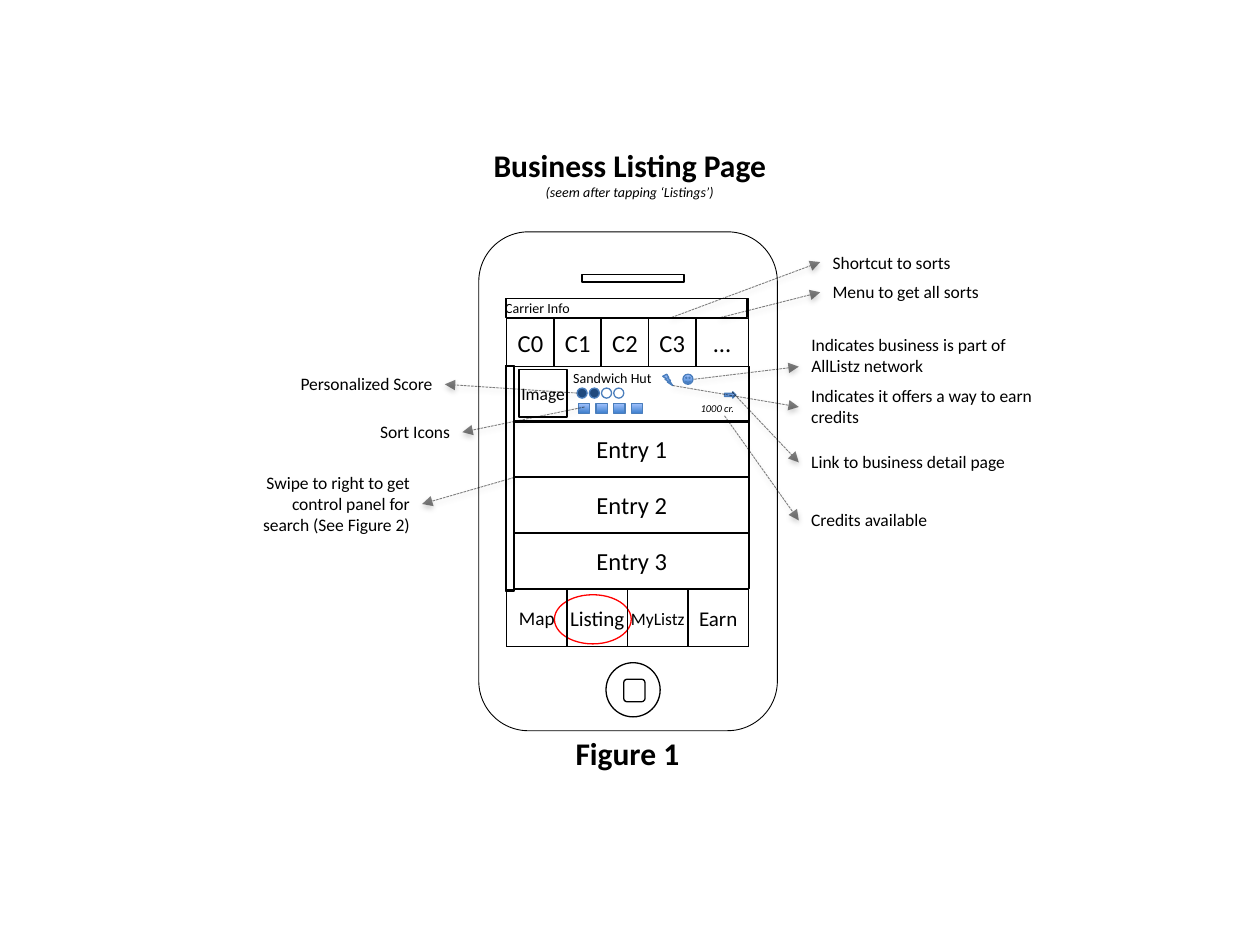
from lxml import etree
from pptx import Presentation
from pptx.dml.color import RGBColor
from pptx.enum.dml import MSO_LINE
from pptx.enum.shapes import MSO_CONNECTOR, MSO_SHAPE as SHAPE
from pptx.enum.text import MSO_ANCHOR as ANCHOR, PP_ALIGN as ALIGN
from pptx.oxml import parse_xml
from pptx.oxml.ns import qn
from pptx.util import Inches, Pt

COLORS = {"ink": "000000", "ring": "FF0000", "edge": "4B7EBC", "full": "1F497D",
          "empty": "FFFFFF", "dark": "3F80CE", "light": "A4C4FF"}
FONT = "Calibri"

TITLE = [("Business Listing Page", {"size": Pt(18), "bold": True, "italic": False}),
         ("(seem after tapping ‘Listings’)", {"size": Pt(8), "bold": False, "italic": True})]
SORTS = ["C0", "C1", "C2", "C3"]
TABS = [("Map", 11), ("Listing", 12), ("MyListz", 10), ("Earn", 12)]
ENTRIES = ["Entry 1", "Entry 2", "Entry 3"]
SCORE = ["full", "full", "empty", "empty"]
SORT_ICON_COUNT = 4

# kind, left, top, width, height, line colour, line width
OUTLINES = [
    (SHAPE.RECTANGLE, 4.02, 2.37, 1.92, 2.76, "ink", 0.75),
    (SHAPE.RECTANGLE, 4.08, 2.91, 1.87, 0.44, "ink", 0.75),
    (SHAPE.RECTANGLE, 4.01, 2.90, 0.07, 1.79, "ink", 0.75),
    (SHAPE.ROUNDED_RECTANGLE, 3.80, 1.84, 2.37, 3.96, "ink", 0.5),
    (SHAPE.OVAL, 4.81, 5.26, 0.43, 0.43, "ink", 0.75),
    (SHAPE.ROUNDED_RECTANGLE, 4.95, 5.39, 0.17, 0.18, "ink", 0.75),
    (SHAPE.RECTANGLE, 4.62, 2.18, 0.81, 0.06, "ink", 0.75),
    (SHAPE.OVAL, 4.40, 4.72, 0.61, 0.39, "ring", 0.75),
]
ICONS = [(SHAPE.LIGHTNING_BOLT, 5.26, 2.97, 0.08, 0.09),
         (SHAPE.RIGHT_ARROW, 5.75, 3.11, 0.09, 0.05),
         (SHAPE.SMILEY_FACE, 5.42, 2.97, 0.08, 0.08)]

# text, box, alignment, arrow start, arrow end
CALLOUTS = [
    ("Shortcut to sorts", (6.51, 1.95, 1.96, 0.27), ALIGN.LEFT, (5.33, 2.52), (6.51, 2.08)),
    ("Menu to get all sorts", (6.51, 2.18, 1.96, 0.27), ALIGN.LEFT, (5.72, 2.52), (6.51, 2.32)),
    ("Indicates business is part of AllListz network", (6.34, 2.6, 1.82, 0.61), ALIGN.LEFT,
     (5.51, 3.01), (6.34, 2.91)),
    ("Indicates it offers a way to earn credits", (6.34, 3.01, 2.34, 0.44), ALIGN.LEFT,
     (5.34, 3.06), (6.34, 3.23)),
    ("Link to business detail page", (6.34, 3.53, 1.96, 0.27), ALIGN.LEFT,
     (5.81, 3.11), (6.34, 3.67)),
    ("Credits available", (6.34, 3.99, 1.96, 0.27), ALIGN.LEFT, (5.75, 3.3), (6.34, 4.13)),
    ("Personalized Score", (1.57, 2.91, 1.96, 0.27), ALIGN.RIGHT, (4.58, 3.12), (3.53, 3.05)),
    ("Sort Icons", (1.71, 3.29, 1.96, 0.27), ALIGN.RIGHT, (4.64, 3.23), (3.67, 3.43)),
    ("Swipe to right to get control panel for search (See Figure 2)",
     (1.95, 3.7, 1.4, 0.61), ALIGN.RIGHT, (4.08, 3.79), (3.35, 4.0)),
]

SHADOW = ('<a:effectLst xmlns:a="http://schemas.openxmlformats.org/drawingml/2006/main">'
          '<a:outerShdw blurRad="40000" dist="20000" dir="5400000" rotWithShape="0">'
          '<a:srgbClr val="000000"><a:alpha val="38000"/></a:srgbClr>'
          '</a:outerShdw></a:effectLst>')


def color(name):
    """Return the named colour."""
    return RGBColor.from_string(COLORS[name])


def write(box, lines, align, insets=(0.1, 0.05, 0.1, 0.05), anchor=ANCHOR.TOP):
    """Fill a box with one paragraph for each (text, font values) pair."""
    frame = box.text_frame
    frame.word_wrap, frame.vertical_anchor = True, anchor
    for side, inset in zip(("left", "top", "right", "bottom"), insets):
        setattr(frame, f"margin_{side}", Inches(inset))
    for index, (text, values) in enumerate(lines):
        para = frame.add_paragraph() if index else frame.paragraphs[0]
        para.alignment = align
        span = para.add_run()
        span.text = text
        span.font.name, span.font.color.rgb = FONT, color("ink")
        for name, value in values.items():
            setattr(span.font, name, value)


def add_text(text, place, align, insets=(0.1, 0.05, 0.1, 0.05), **values):
    """Add a text box."""
    box = page.shapes.add_textbox(*map(Inches, place))
    write(box, [(text, values)], align, insets)


def add_part(parent, kind, place, line="ink", weight=0.75, fill=None):
    """Add a preset shape, with no fill, a solid fill or the icon gradient."""
    part = parent.add_shape(kind, *map(Inches, place))
    part.shadow.inherit = False
    part.line.color.rgb, part.line.width = color(line), Pt(weight)
    if fill == "gradient":
        part.fill.gradient()
        part.fill.gradient_angle = 90
        for stop, name in zip(part.fill.gradient_stops, ("dark", "light")):
            stop.color.rgb = color(name)
    elif fill:
        part.fill.solid()
        part.fill.fore_color.rgb = color(fill)
    else:
        part.fill.background()
    return part


def add_cell(text, place, size, align=ALIGN.CENTER):
    """Add an outlined cell with a label."""
    cell = add_part(page.shapes, SHAPE.RECTANGLE, place)
    write(cell, [(text, {"size": Pt(size)})], align, (0, 0.05, 0, 0.05), ANCHOR.MIDDLE)


def add_arrow(start, end):
    """Add a dashed, half-transparent arrow with a soft shadow."""
    arrow = page.shapes.add_connector(MSO_CONNECTOR.STRAIGHT, *map(Inches, start + end))
    arrow.line.color.rgb, arrow.line.width = color("ink"), Pt(0.5)
    arrow.line.dash_style = MSO_LINE.SQUARE_DOT
    properties = arrow.line._get_or_add_ln()
    etree.SubElement(properties.find(".//" + qn("a:srgbClr")), qn("a:alpha"), val="50000")
    etree.SubElement(properties, qn("a:tailEnd"), type="triangle")
    properties.getparent().append(parse_xml(SHADOW))


deck = Presentation()
deck.slide_width, deck.slide_height = Inches(10), Inches(7.5)
page = deck.slides.add_slide(deck.slide_layouts[5])

title = page.shapes.title
title.left, title.top, title.width, title.height = map(Inches, (3.15, 1.11, 3.7, 0.54))
write(title, TITLE, ALIGN.CENTER)

for kind, *place, line, weight in OUTLINES:
    add_part(page.shapes, kind, place, line, weight)

add_cell("Carrier Info", (4.01, 2.37, 1.92, 0.15), 8, ALIGN.LEFT)
for column, label in enumerate(SORTS):
    add_cell(label, (4.02 + column * 0.375, 2.53, 0.38, 0.38), 14)
add_cell("…", (5.52, 2.53, 0.42, 0.38), 14)
for column, (label, size) in enumerate(TABS):
    add_cell(label, (4.02 + column * 0.48, 4.68, 0.48, 0.45), size)
for row, label in enumerate(ENTRIES):
    add_cell(label, (4.08, 3.34 + row * 0.445, 1.87, 0.44), 14)

add_cell("Image", (4.12, 2.93, 0.38, 0.38), 10)
add_text("Sandwich Hut", (4.45, 2.88, 0.81, 0.24), ALIGN.LEFT, (0.1, 0.05, 0, 0.05), size=Pt(8))
add_text("1000 cr.", (5.56, 3.19, 0.38, 0.1), ALIGN.LEFT, (0, 0, 0, 0), size=Pt(6), italic=True)
for kind, *place in ICONS:
    add_part(page.shapes, kind, place, "edge", fill="gradient")

score_group = page.shapes.add_group_shape()
for column, fill in enumerate(SCORE):
    add_part(score_group.shapes, SHAPE.OVAL, (4.58 + column * 0.097, 3.08, 0.08, 0.08),
             "edge", fill=fill)
sort_group = page.shapes.add_group_shape()
for column in range(SORT_ICON_COUNT):
    add_part(sort_group.shapes, SHAPE.RECTANGLE, (4.59 + column * 0.14, 3.2, 0.09, 0.08),
             "edge", fill="gradient")

for text, place, align, start, end in CALLOUTS:
    add_arrow(start, end)
    add_text(text, place, align, size=Pt(10))
add_text("Figure 1", (3.13, 5.78, 3.7, 0.61), ALIGN.CENTER, size=Pt(18), bold=True)

deck.save("out.pptx")
